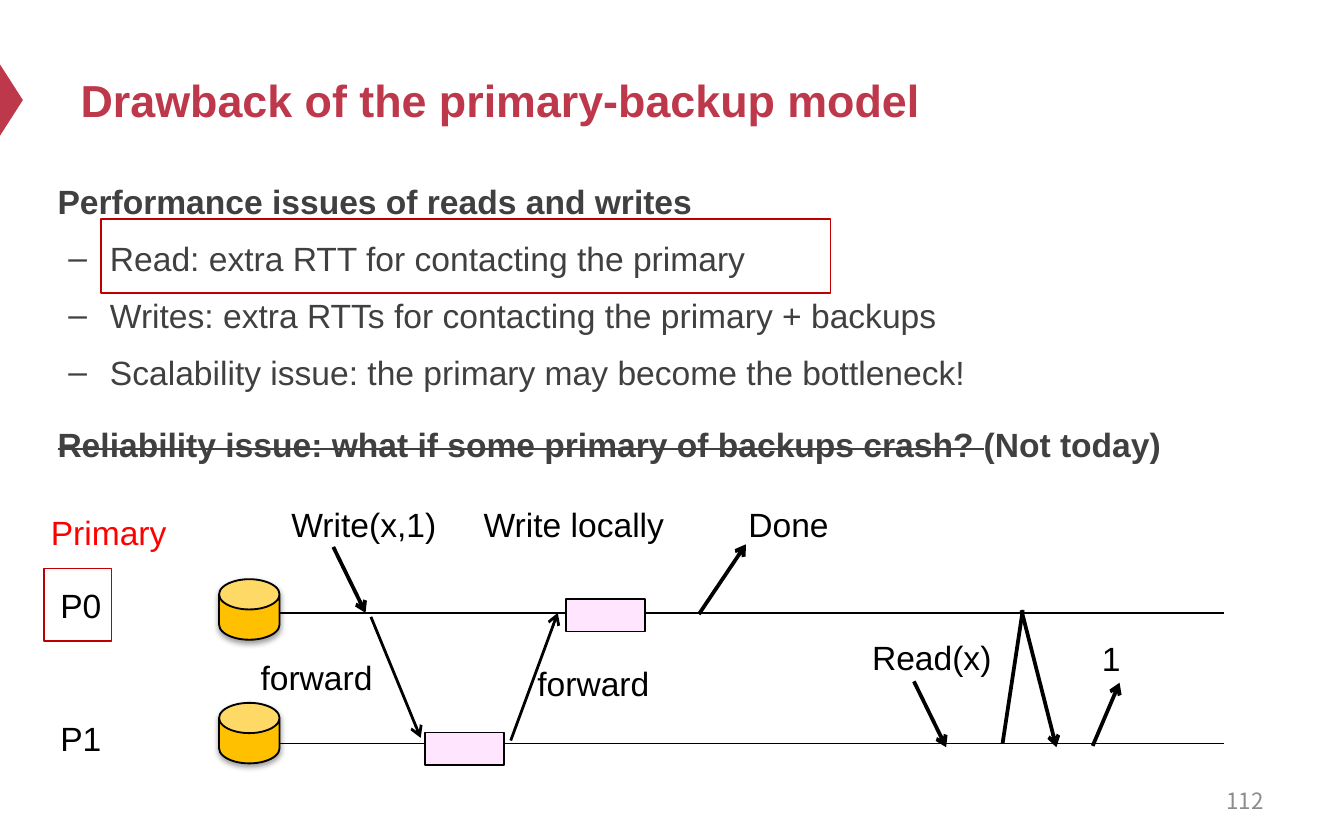
"""Build the slide on the drawbacks of the primary-backup model."""
from dataclasses import dataclass

from lxml.etree import SubElement as Sub
from pptx import Presentation
from pptx.dml.color import RGBColor as Rgb
from pptx.enum.shapes import MSO_CONNECTOR as Conn, MSO_SHAPE as Kind
from pptx.enum.text import MSO_ANCHOR as Anchor, PP_ALIGN as Align
from pptx.oxml.ns import qn
from pptx.util import Inches, Pt

HUES = {"red": "BE384B", "body": "404040", "black": "000000", "page": "8C8C8C",
        "gold": "FFC000", "pink": "FFE6FE", "frame": "C00000", "lead": "FF0000"}
TOP, LOW = 4.56, 5.53


@dataclass
class Label:
    text: str
    x: float
    y: float
    w: float = 1.75
    hue: str = "black"


@dataclass
class Box:
    x: float
    y: float
    w: float
    h: float
    fill: str = ""
    line: str = "black"
    kind: Kind = Kind.RECTANGLE


@dataclass
class Line:
    x1: float
    y1: float
    x2: float
    y2: float
    width: float = 2
    arrow: bool = True


@dataclass
class Item:
    text: str
    sub: bool = False
    gap: float = 0
    tail: str = ""


LABELS = [
    Label("Primary", 0.28, 3.76, 1.5, "lead"),
    Label("P0", 0.35, 4.3, 0.71), Label("P1", 0.35, 5.29, 0.71),
    Label("Write(x,1)", 2.07, 3.7), Label("Write locally", 3.5, 3.7),
    Label("Done", 5.47, 3.7), Label("forward", 1.84, 4.84),
    Label("forward", 3.9, 4.88), Label("Read(x)", 6.39, 4.69),
    Label("1", 8.1, 4.7, 0.46),
]
BOXES = [
    Box(0.33, 4.23, 0.5, 0.54, line="frame"),
    Box(0.75, 1.63, 5.43, 0.55, line="frame"),
    Box(4.21, 4.46, 0.59, 0.24, "pink"), Box(3.16, 5.45, 0.59, 0.24, "pink"),
]
DISKS = [Box(1.63, y, 0.45, 0.45, "gold", kind=Kind.CAN) for y in (4.31, 5.23)]
AXES = [Line(1.71, y, 9.11, y, 0.75, False) for y in (TOP, LOW)]
CALLS = [
    Line(2.48, 4.07, 2.72, TOP), Line(2.76, 4.59, 3.13, 5.49, 1.5),
    Line(3.8, 5.51, 4.15, TOP, 1.5), Line(5.2, 4.57, 5.55, 4.05),
    Line(6.8, 5.07, 7.04, 5.56), Line(8.13, 5.55, 8.33, 5.08),
    Line(7.6, 4.54, 7.86, 5.56), Line(7.46, LOW, 7.61, 4.54, arrow=False),
]
ITEMS = [
    Item("Performance issues of reads and writes"),
    Item("Read: extra RTT for contacting the primary", True, 4.5),
    Item("Writes: extra RTTs for contacting the primary + backups", True, 4.5),
    Item("Scalability issue: the primary may become the bottleneck!", True, 4.5),
    Item("Reliability issue: what if some primary of backups crash? ", gap=13,
         tail="(Not today)"),
]


def tint(hue: str) -> Rgb:
    """Look up a colour."""
    return Rgb.from_string(HUES[hue])


def style(run, size: float, hue: str, bold: bool = False, face: str = "Arial") -> None:
    """Format one run."""
    font = run.font
    font.name, font.size, font.bold = face, Pt(size), bold
    font.color.rgb = tint(hue)


def add_text(slide, x: float, y: float, w: float, h: float):
    """Add an empty wrapping text frame."""
    box = slide.shapes.add_textbox(Inches(x), Inches(y), Inches(w), Inches(h))
    box.text_frame.word_wrap = True
    return box.text_frame


def add_label(slide, label: Label) -> None:
    """Add a caption of the timing diagram."""
    frame = add_text(slide, label.x, label.y, label.w, 0.4)
    frame.text = label.text
    style(frame.paragraphs[0].runs[0], 18, label.hue)


def add_box(slide, box: Box):
    """Add a preset shape, hollow or unlined when no colour is named."""
    shape = slide.shapes.add_shape(
        box.kind, Inches(box.x), Inches(box.y), Inches(box.w), Inches(box.h))
    shape.shadow.inherit = False
    if box.fill:
        shape.fill.solid()
        shape.fill.fore_color.rgb = tint(box.fill)
    else:
        shape.fill.background()
    if box.line:
        shape.line.color.rgb = tint(box.line)
        shape.line.width = Pt(1)
    else:
        shape.line.fill.background()
    return shape


def add_disk(slide, box: Box) -> None:
    """Add a storage cylinder with a soft shadow below."""
    disk = add_box(slide, box)
    disk.adjustments[0] = 0.5
    glow = Sub(disk._element.spPr.find(qn("a:effectLst")), qn("a:outerShdw"),
               blurRad=str(Pt(3.1)), dist=str(Pt(1.6)), dir="5400000", rotWithShape="0")
    hue = Sub(glow, qn("a:srgbClr"), val=HUES["black"])
    Sub(hue, qn("a:alpha"), val="38000")


def add_line(slide, line: Line) -> None:
    """Add a line, with an open arrowhead for messages."""
    conn = slide.shapes.add_connector(
        Conn.STRAIGHT, Inches(line.x1), Inches(line.y1), Inches(line.x2), Inches(line.y2))
    conn.line.color.rgb = tint("black")
    conn.line.width = Pt(line.width)
    if line.arrow:
        Sub(conn.line._get_or_add_ln(), qn("a:tailEnd"), type="arrow")
    Sub(conn._element.spPr, qn("a:effectLst"))


def add_body(slide) -> None:
    """Add the list of issues."""
    frame = add_text(slide, 0.33, 1.24, 9, 2.56)
    for i, item in enumerate(ITEMS):
        para = frame.add_paragraph() if i else frame.paragraphs[0]
        para.text = item.text
        if item.sub:
            props = para._p.get_or_add_pPr()
            props.set("marL", str(Inches(0.39)))
            props.set("indent", str(Inches(-0.31)))
            Sub(props, qn("a:buFont"), typeface="Arial")
            Sub(props, qn("a:buChar"), char="–")
        para.line_spacing, para.space_before = 1.2, Pt(item.gap)
        if item.tail:
            para.runs[0]._r.get_or_add_rPr().set("strike", "sngStrike")
            para.add_run().text = item.tail
        for run in para.runs:
            style(run, 18, "body", not item.sub)


def add_title(slide) -> None:
    """Fill and place the title."""
    title = slide.shapes.title
    title.left, title.top = Inches(0.5), Inches(0.25)
    title.width, title.height = Inches(9), Inches(0.98)
    frame = title.text_frame
    frame.text = "Drawback of the primary-backup model"
    frame.vertical_anchor = Anchor.MIDDLE
    frame.paragraphs[0].alignment = Align.LEFT
    style(frame.paragraphs[0].runs[0], 24, "red", True)


def add_page(slide) -> None:
    """Add the page number."""
    frame = add_text(slide, 7.17, 5.79, 2.33, 0.33)
    frame.text = "112"
    frame.vertical_anchor = Anchor.MIDDLE
    frame.paragraphs[0].alignment = Align.RIGHT
    style(frame.paragraphs[0].runs[0], 12, "page", face="Noto Sans CJK SC")


def main() -> None:
    """Build and save the deck."""
    deck = Presentation()
    deck.slide_width, deck.slide_height = Inches(10), Inches(6.25)
    slide = deck.slides.add_slide(deck.slide_layouts[5])
    mark = Box(-0.18, 0.66, 0.53, 0.17, "red", "", Kind.ISOSCELES_TRIANGLE)
    add_box(slide, mark).rotation = 90
    add_title(slide)
    add_body(slide)
    add_page(slide)
    for draw, parts in ((add_line, AXES), (add_disk, DISKS), (add_box, BOXES),
                        (add_line, CALLS), (add_label, LABELS)):
        for part in parts:
            draw(slide, part)
    deck.save("out.pptx")


if __name__ == "__main__":
    main()
